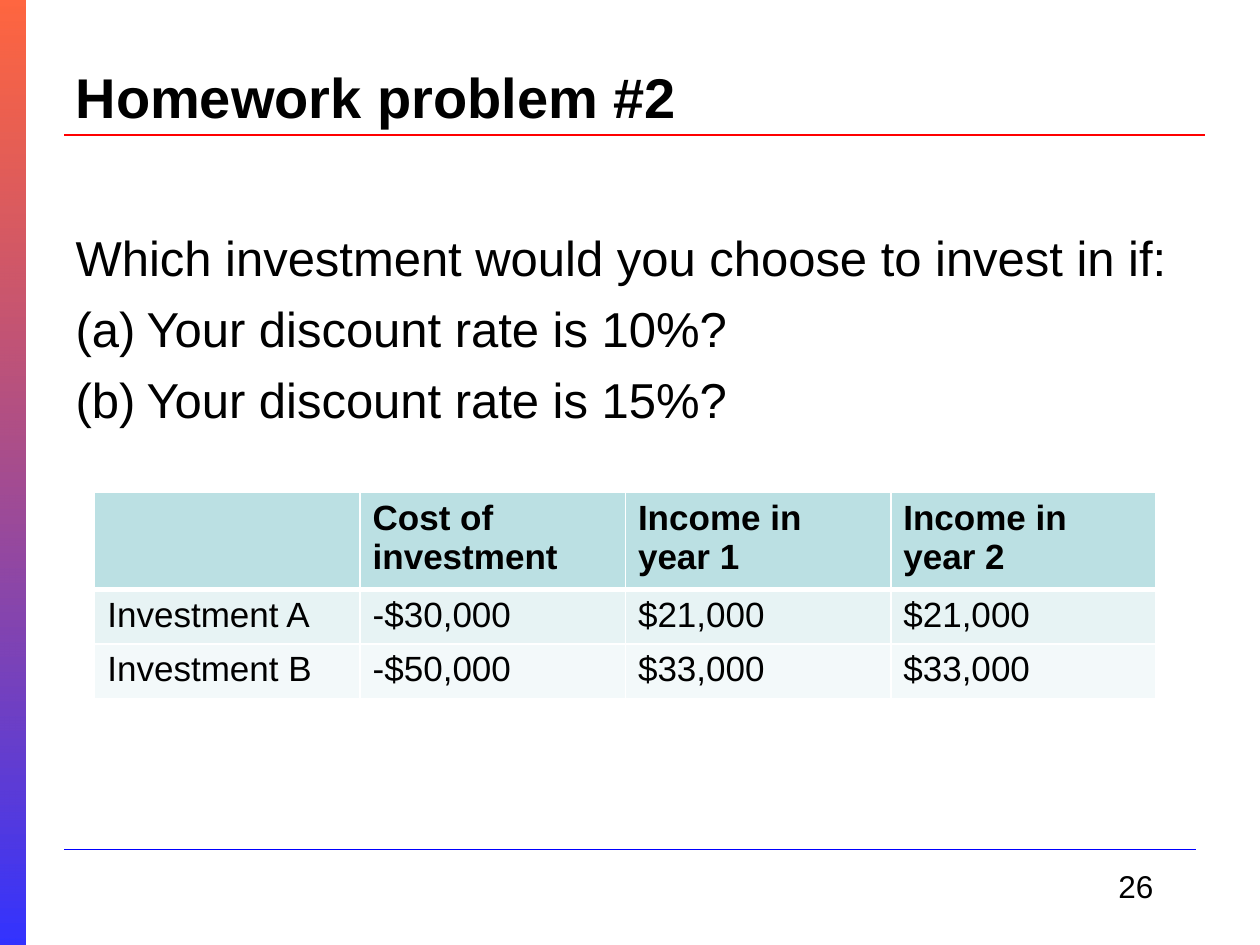
import pptx
import pptx.util
from pptx.dml.color import RGBColor
from pptx.enum.shapes import MSO_CONNECTOR, MSO_SHAPE
from pptx.enum.text import MSO_ANCHOR, MSO_AUTO_SIZE, PP_ALIGN
from pptx.oxml.ns import qn
from lxml import etree

Cm, Pt = pptx.util.Cm, pptx.util.Pt

# Content
TITLE = "Homework problem #2"
QUESTION = "Which investment would you choose to invest in if:"
OPTIONS = ["Your discount rate is 10%?", "Your discount rate is 15%?"]
PAGE = "26"
TABLE = [
    ["", "Cost of investment", "Income in year 1", "Income in year 2"],
    ["Investment A", "-$30,000", "$21,000", "$21,000"],
    ["Investment B", "-$50,000", "$33,000", "$33,000"],
]

# Style
FONT = "Arial"
BLACK = RGBColor(0x00, 0x00, 0x00)
ORANGE = RGBColor(0xFF, 0x33, 0x00)
VIOLET = RGBColor(0x33, 0x33, 0xFF)
RED = RGBColor(0xFF, 0x00, 0x00)
BLUE = RGBColor(0x00, 0x00, 0xFF)
ROW_FILLS = [RGBColor(0xBB, 0xE0, 0xE3), RGBColor(0xE7, 0xF3, 0xF4),
             RGBColor(0xF3, 0xF9, 0xFA)]
ROW_HEIGHTS = [1.8, 1.04, 1.04]
COL_WIDTH = 5.35


def style(p, size, bold=False, align=PP_ALIGN.LEFT):
    p.alignment = align
    p.font.name, p.font.size, p.font.bold = FONT, Pt(size), bold
    p.font.color.rgb = BLACK


def place(sp, left, top, width, height):
    sp.left, sp.top, sp.width, sp.height = map(Cm, (left, top, width, height))


def add_rule(s, x1, x2, y, color):
    ln = s.shapes.add_connector(MSO_CONNECTOR.STRAIGHT, Cm(x1), Cm(y), Cm(x2), Cm(y))
    ln.line.color.rgb, ln.line.width = color, Pt(0.75)
    etree.SubElement(ln._element.spPr, qn("a:effectLst"))


def set_bullet(p, kind, indent=0, **attrs):
    pPr = p._p.get_or_add_pPr()
    pPr.set("marL", str(Cm(indent)))
    pPr.set("indent", str(-Cm(indent)))
    bullet = etree.Element(qn(kind), **attrs)
    pPr.insert_element_before(bullet, "a:tabLst", "a:defRPr", "a:extLst")


def set_borders(cell, bottom):
    tcPr = cell._tc.get_or_add_tcPr()
    for i, (side, width) in enumerate([("L", 1), ("R", 1), ("T", 1), ("B", bottom)]):
        ln = etree.Element(qn("a:ln" + side), w=str(Pt(width)))
        fill = etree.SubElement(ln, qn("a:solidFill"))
        etree.SubElement(fill, qn("a:srgbClr"), val="FFFFFF")
        tcPr.insert(i, ln)


prs = pptx.Presentation()
prs.slide_width, prs.slide_height = Cm(25.4), Cm(19.05)
s = prs.slides.add_slide(prs.slide_layouts[1])

# Gradient side bar and rules
bar = s.shapes.add_shape(MSO_SHAPE.RECTANGLE, 0, 0, Cm(0.51), prs.slide_height)
bar.shadow.inherit = False
bar.line.fill.background()
bar.fill.gradient()
bar.fill.gradient_angle = 270
for stop, color, position in zip(bar.fill.gradient_stops, (ORANGE, VIOLET), (0, 1)):
    stop.color.rgb, stop.position = color, position
first_color = next(bar._element.spPr.iter(qn("a:srgbClr")))
etree.SubElement(first_color, qn("a:alpha"), val="75000")
add_rule(s, 1.3, 24.3, 2.72, RED)
add_rule(s, 1.3, 24.1, 17.12, BLUE)

# Title
title = s.shapes.title
place(title, 1.27, 0.76, 22.86, 2.36)
title.text_frame.text = TITLE
title.text_frame.vertical_anchor = MSO_ANCHOR.MIDDLE
style(title.text_frame.paragraphs[0], 32, bold=True)

# Question with lettered options
body = s.placeholders[1]
place(body, 1.27, 4.45, 22.86, 12.57)
tf = body.text_frame
tf.text = "\n".join([QUESTION] + OPTIONS)
tf.auto_size = MSO_AUTO_SIZE.NONE
for i, p in enumerate(tf.paragraphs):
    style(p, 28)
    p.space_before = Pt(7)
    if i == 0:
        set_bullet(p, "a:buNone")
    else:
        set_bullet(p, "a:buAutoNum", 1.43, type="alphaLcParenBoth")

# Page number
number = s.shapes.add_textbox(Cm(18.21), Cm(17.35), Cm(5.29), Cm(1.27))
number.text_frame.word_wrap = True
number.text_frame.text = PAGE
style(number.text_frame.paragraphs[0], 18, align=PP_ALIGN.RIGHT)

# Investment table
rows, cols = len(TABLE), len(TABLE[0])
table = s.shapes.add_table(rows, cols, Cm(1.91), Cm(9.93), Cm(COL_WIDTH * cols),
                           Cm(sum(ROW_HEIGHTS))).table
for col in table.columns:
    col.width = Cm(COL_WIDTH)
for r, values in enumerate(TABLE):
    table.rows[r].height = Cm(ROW_HEIGHTS[r])
    for c, value in enumerate(values):
        cell = table.cell(r, c)
        cell.text = value
        style(cell.text_frame.paragraphs[0], 20, bold=r == 0)
        cell.fill.solid()
        cell.fill.fore_color.rgb = ROW_FILLS[r]
        set_borders(cell, 3 if r == 0 else 1)

prs.save("out.pptx")
